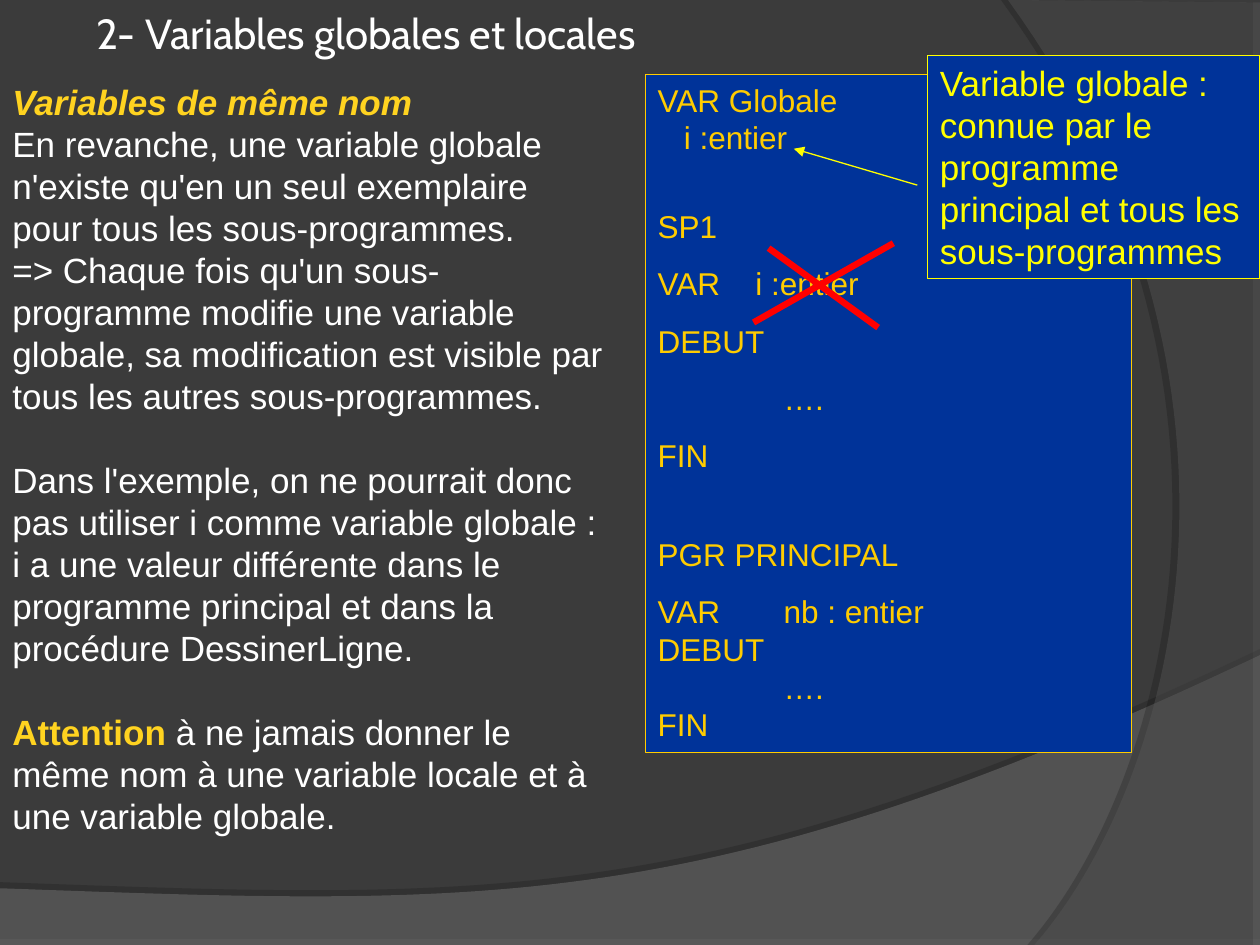
from lxml.etree import SubElement
from pptx import Presentation
from pptx.dml.color import RGBColor
from pptx.enum.shapes import MSO_CONNECTOR, MSO_SHAPE
from pptx.enum.text import MSO_ANCHOR, MSO_AUTO_SIZE, PP_ALIGN
from pptx.oxml import parse_xml
from pptx.oxml.ns import nsdecls, qn
from pptx.util import Pt

WHITE, GOLD, AMBER, YELLOW = "FFFFFF", "FFD320", "FFCC00", "FFFF00"
BLUE, RED = "003399", "FF0000"


def rgb(value):
    return RGBColor.from_string(value)


def add_run(p, text, color, size, font="Arial"):
    r = p.add_run()
    r.text = text
    r.font.name, r.font.size = font, Pt(size)
    r.font.color.rgb = rgb(color)
    return r


prs = Presentation()
prs.slide_width, prs.slide_height = Pt(720), Pt(540)
s = prs.slides.add_slide(prs.slide_layouts[5])
s.background.fill.solid()
s.background.fill.fore_color.rgb = rgb("3B3B3B")

# Background waves: a Bezier edge closed by slide corners
# (curve points, corners, fill, fill opacity, shadow opacity, distance, direction)
waves = [
    ([(720, 374.4), (402.5, 524.9), (281.5, 517.7), (0, 507.6)],
     [(0, 540), (720, 540)], "7C7C7C", 45, 35, 3.5, 270),
    ([(591.1, 540), (673.2, 445.7), (733, 216), (576, 0)],
     [(720, 1.4), (720, 540)], "595959", 40, 45, 4, 180),
]
STEPS = 60
for curve, corners, color, opacity, shade, dist, angle in waves:
    edge = []
    for i in range(STEPS + 1):
        t = i / STEPS
        weights = ((1 - t) ** 3, 3 * t * (1 - t) ** 2, 3 * t * t * (1 - t), t ** 3)
        edge.append(tuple(Pt(sum(w * pt[k] for w, pt in zip(weights, curve)))
                          for k in (0, 1)))
    fb = s.shapes.build_freeform(*edge[0])
    fb.add_line_segments(edge[1:] + [(Pt(x), Pt(y)) for x, y in corners], close=True)
    sp = fb.convert_to_shape()
    sp.fill.solid()
    sp.fill.fore_color.rgb = rgb(color)
    sp.line.fill.background()
    sp.shadow.inherit = False
    fill = sp._element.spPr.find(qn("a:solidFill"))[0]
    SubElement(fill, qn("a:alpha"), val=str(opacity * 1000))
    sp._element.spPr.find(qn("a:effectLst")).append(parse_xml(
        f'<a:outerShdw {nsdecls("a")} blurRad="0" dist="{Pt(dist)}" '
        f'dir="{angle * 60000}" algn="ctr" rotWithShape="0"><a:srgbClr val="000000">'
        f'<a:alpha val="{shade * 1000}"/></a:srgbClr></a:outerShdw>'))

# Title
title = s.shapes.title
title.left, title.top, title.width, title.height = Pt(48), Pt(0), Pt(612), Pt(37)
tf = title.text_frame
tf.auto_size = MSO_AUTO_SIZE.NONE
tf.vertical_anchor = MSO_ANCHOR.MIDDLE
tf.paragraphs[0].alignment = PP_ALIGN.LEFT
add_run(tf.paragraphs[0], "2- Variables globales et locales", WHITE, 24, "Cabin")

# Explanation: (space before, [(text, colour, bold, italic)])
explanation = [
    (0, [("Variables de même nom", GOLD, True, True)]),
    (0, [("En revanche, une variable globale n'existe qu'en un seul exemplaire "
          "pour tous les sous-programmes.", WHITE, False, False)]),
    (0, [("=> Chaque fois qu'un sous-programme modifie une variable globale, sa "
          "modification est visible par tous les autres sous-programmes.",
          WHITE, False, False)]),
    (24, [("Dans l'exemple, on ne pourrait donc pas utiliser i comme variable "
           "globale : i a une valeur différente dans le programme principal et "
           "dans la procédure DessinerLigne.", WHITE, False, False)]),
    (24, [("Attention ", GOLD, True, False),
          ("à ne jamais donner le même nom à une variable locale et à une "
           "variable globale.", WHITE, False, False)]),
]
tf = s.shapes.add_textbox(Pt(0), Pt(42.5), Pt(354), Pt(440)).text_frame
tf.word_wrap = True
for i, (before, runs) in enumerate(explanation):
    p = tf.add_paragraph() if i else tf.paragraphs[0]
    p.space_before = Pt(before)
    for text, color, bold, italic in runs:
        r = add_run(p, text, color, 20)
        r.font.bold, r.font.italic = bold, italic

# Code panel and callout: (box, line colour, text size, [(space before, text)])
code = [
    (0, "VAR Globale"), (0, "   i :entier"), (29, "SP1"), (11.2, "VAR\ti :entier"),
    (11.2, "DEBUT"), (11.2, "\t…."), (11.2, "FIN"), (34.4, "PGR PRINCIPAL"),
    (11.2, "VAR\tnb : entier"), (0, "DEBUT"), (0, "\t…."), (0, "FIN"),
]
callout = [(0, "Variable globale : connue par le programme principal et tous les "
               "sous-programmes")]
panels = [
    ((368.8, 42.5, 277.8, 387.4), AMBER, 18, code),
    ((530, 31.7, 190, 127.4), YELLOW, 20, callout),
]
for box, color, size, lines in panels:
    sp = s.shapes.add_shape(MSO_SHAPE.RECTANGLE, *map(Pt, box))
    sp.shadow.inherit = False
    sp.fill.solid()
    sp.fill.fore_color.rgb = rgb(BLUE)
    sp.line.color.rgb = rgb(color)
    sp.line.width = Pt(0.75)
    tf = sp.text_frame
    tf.word_wrap = True
    tf.vertical_anchor = MSO_ANCHOR.TOP
    for i, (before, text) in enumerate(lines):
        p = tf.add_paragraph() if i else tf.paragraphs[0]
        p.alignment = PP_ALIGN.LEFT
        p.space_before = Pt(before)
        if "\t" in text:
            stop = 55.8 if text.endswith("\ti :entier") else 72
            tabs = SubElement(p._p.get_or_add_pPr(), qn("a:tabLst"))
            SubElement(tabs, qn("a:tab"), pos=str(Pt(stop)), algn="l")
        add_run(p, text, color, size)

# Callout arrow, then the red cross over the local declaration
cross = s.shapes.add_group_shape()
strokes = [
    (s.shapes, (524.2, 105.8, 453.6, 85), YELLOW, 0.75),
    (cross.shapes, (430.6, 184.3, 510.5, 139), RED, 3.69),
    (cross.shapes, (439.2, 141.8, 501.8, 187.2), RED, 3.69),
]
for shapes, ends, color, width in strokes:
    cn = shapes.add_connector(MSO_CONNECTOR.STRAIGHT, *map(Pt, ends))
    cn.line.color.rgb = rgb(color)
    cn.line.width = Pt(width)
    if color == YELLOW:
        SubElement(cn.line._get_or_add_ln(), qn("a:tailEnd"), type="triangle")
    SubElement(cn._element.spPr, qn("a:effectLst"))

prs.save("out.pptx")
